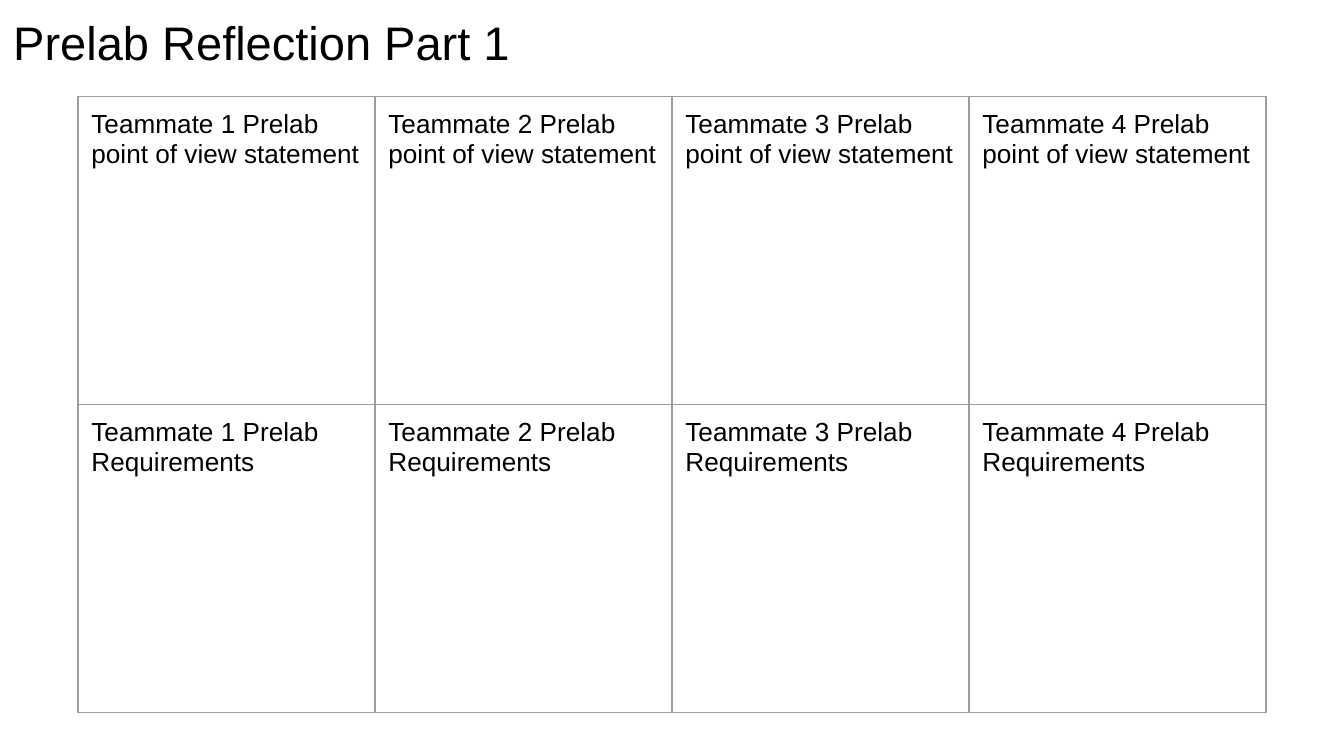
from lxml import etree
from pptx import Presentation
from pptx import util as u
from pptx.dml.color import RGBColor
from pptx.oxml.ns import qn

TITLE = "Prelab Reflection Part 1"
TEAMMATES = (1, 2, 3, 4)
TOPICS = ("point of view statement", "Requirements")

SLIDE_W = u.Inches(10)
SLIDE_H = SLIDE_W * 9 // 16
GRID_LEFT, GRID_TOP = u.Inches(0.58), u.Inches(0.72)
COLUMN_W, ROW_H = u.Inches(2.21), u.Inches(2.29)
INSET = u.Inches(0.1)
FONT, INK, RULE = "Arial", "000000", "9E9E9E"


def write(frame, wording, size):
    paragraph = frame.paragraphs[0]
    paragraph.text = wording
    paragraph.font.name = FONT
    paragraph.font.size = u.Pt(size)
    paragraph.font.color.rgb = RGBColor.from_string(INK)


def set_insets(holder):
    """Give a text frame or a table cell the same inset on all sides."""
    holder.margin_left = holder.margin_right = INSET
    holder.margin_top = holder.margin_bottom = INSET


def add_borders(cell, color, width):
    properties = cell._tc.get_or_add_tcPr()
    for position, side in enumerate(("a:lnL", "a:lnR", "a:lnT", "a:lnB")):
        line = etree.Element(qn(side), w=str(u.Pt(width)))
        fill = etree.SubElement(line, qn("a:solidFill"))
        etree.SubElement(fill, qn("a:srgbClr"), val=color)
        properties.insert(position, line)


deck = Presentation()
deck.slide_width, deck.slide_height = SLIDE_W, SLIDE_H
slide = deck.slides.add_slide(deck.slide_layouts[6])

heading = slide.shapes.add_textbox(0, 0, u.Inches(9.32), u.Inches(0.63)).text_frame
heading.word_wrap = True
set_insets(heading)
write(heading, TITLE, 25.2)

reflections = slide.shapes.add_table(
    len(TOPICS), len(TEAMMATES), GRID_LEFT, GRID_TOP,
    COLUMN_W * len(TEAMMATES), ROW_H * len(TOPICS)).table
reflections.first_row = reflections.horz_banding = False

for row, topic in enumerate(TOPICS):
    for column, teammate in enumerate(TEAMMATES):
        cell = reflections.cell(row, column)
        cell.fill.background()
        add_borders(cell, RULE, 0.75)
        set_insets(cell)
        write(cell.text_frame, f"Teammate {teammate} Prelab {topic}", 14)

deck.save("out.pptx")
